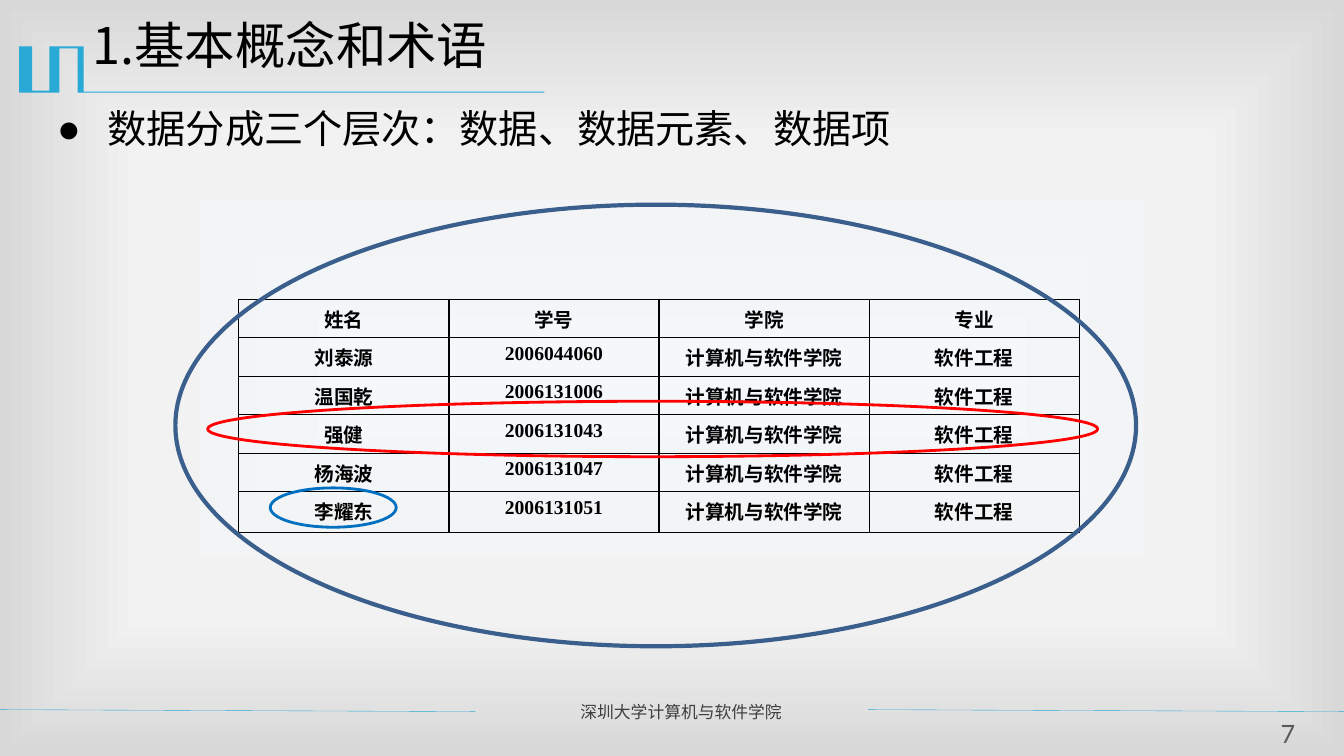
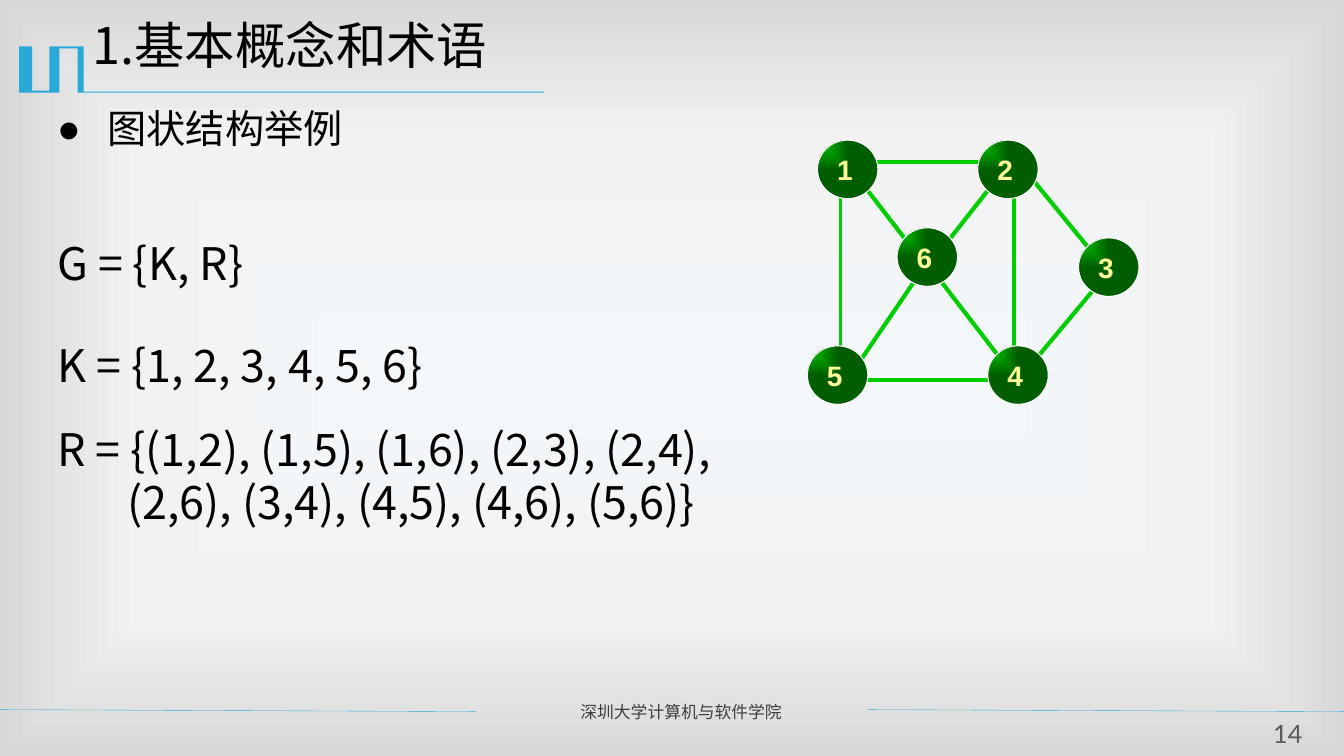
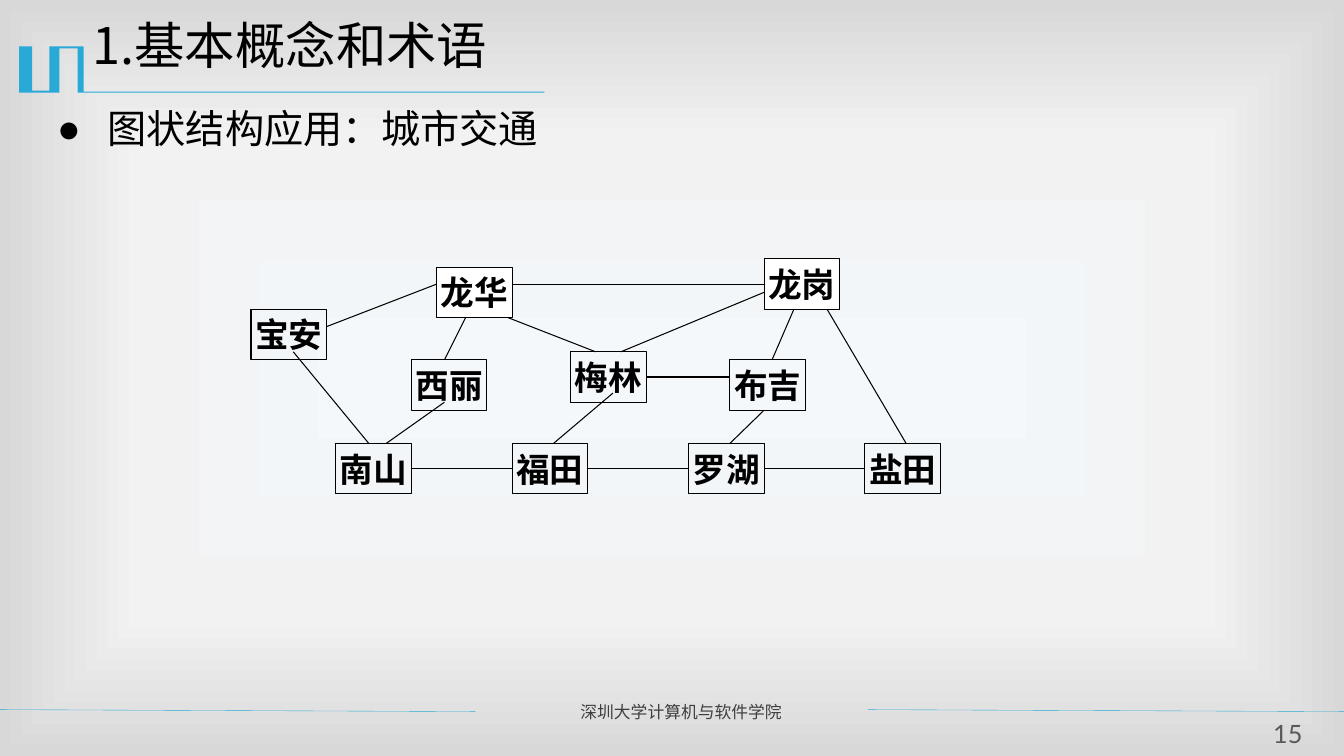
from lxml import etree
from pptx import Presentation
from pptx.dml.color import RGBColor
from pptx.enum import shapes, text
from pptx.oxml import parse_xml
from pptx.oxml.ns import nsdecls, qn
from pptx.util import Pt

# Style
CYAN = RGBColor(0x28, 0xA9, 0xD6)
BLACK = RGBColor(0, 0, 0)
WHITE = RGBColor(0xFF, 0xFF, 0xFF)
FOOTER_GRAY = RGBColor(0x3F, 0x3F, 0x3F)
NUMBER_GRAY = RGBColor(0x59, 0x59, 0x59)
NAVY = RGBColor(0x3A, 0x5F, 0x8C)
RED = RGBColor(0xFF, 0, 0)
BLUE = RGBColor(0, 0x70, 0xC0)
GREEN = RGBColor(0, 0xCC, 0)
DARK_GREEN = RGBColor(0, 0x5E, 0)
PALE_YELLOW = RGBColor(0xFF, 0xFF, 0x99)
BACKGROUND = [(0, RGBColor(0xF4, 0xF8, 0xFB)),
              (63, RGBColor(0xF2, 0xF2, 0xF2)),
              (100, RGBColor(0xD8, 0xD8, 0xD8))]
NODE_FILL = [(0, GREEN), (100, DARK_GREEN)]
CJK = "Noto Sans CJK SC"
CENTER = text.PP_ALIGN.CENTER
TOP, MIDDLE = text.MSO_ANCHOR.TOP, text.MSO_ANCHOR.MIDDLE
OVAL, RECTANGLE = shapes.MSO_SHAPE.OVAL, shapes.MSO_SHAPE.RECTANGLE

TITLE = "1.基本概念和术语"
FOOTER = "深圳大学计算机与软件学院"
ORNAMENT = [(59, 33.1), (59.8, 33.1), (59.8, 65.5), (388.8, 65.5),
            (388.8, 66.2), (55.4, 66.2), (55.4, 34.6), (42.5, 34.6),
            (42.5, 66.2), (13.7, 66.2), (13.7, 33.1), (23, 33.1),
            (23, 64.8), (35.3, 64.8), (35.3, 33.1)]


def set_path_gradient(parent, stops, focus):
    """Replace the solid fill of parent with a rectangular gradient."""
    marks = "".join(f'<a:gs pos="{position * 1000}"><a:srgbClr val="{color}"/></a:gs>'
                    for position, color in stops)
    edges = " ".join(f'{side}="{value * 1000}"' for side, value in zip("ltrb", focus))
    gradient = parse_xml(
        f'<a:gradFill {nsdecls("a")} rotWithShape="1"><a:gsLst>{marks}</a:gsLst>'
        f'<a:path path="rect"><a:fillToRect {edges}/></a:path></a:gradFill>')
    parent.replace(parent.find(qn("a:solidFill")), gradient)


class Deck:
    def __init__(self):
        self.presentation = Presentation()
        self.presentation.slide_width = Pt(960)
        self.presentation.slide_height = Pt(540)
        master = self.presentation.slide_master
        master.background.fill.solid()
        master.background.fill.fore_color.rgb = WHITE
        set_path_gradient(master.element.find(".//" + qn("p:bgPr")), BACKGROUND, (50,) * 4)
        self.slide = None

    def new_slide(self, number):
        """Start a slide with the title, ornament and footer."""
        layout = self.presentation.slide_layouts[6]
        self.slide = self.presentation.slides.add_slide(layout)
        self.ornament()
        for left in (-0.5, 620):
            self.line(left, 506.9, left + 340, 508.3, CYAN, 0.25)
        self.text_box(407.5, 497.5, 205, 22, FOOTER, 12, "Lato", FOOTER_GRAY)
        self.text_box(59, 11.5, 864, 62.6, TITLE, 36).paragraphs[0].line_spacing = 0.9
        frame = self.text_box(898.6, 513.4, 42.5, 22.3, str(number), 18, "Lato",
                              NUMBER_GRAY, align=CENTER)
        self.insets(frame, 0, 0, 0, 0)

    def ornament(self):
        points = [(Pt(x), Pt(y)) for x, y in ORNAMENT]
        builder = self.slide.shapes.build_freeform(*points[0])
        builder.add_line_segments(points[1:], close=True)
        shape = builder.convert_to_shape()
        shape.shadow.inherit = False
        shape.fill.solid()
        shape.fill.fore_color.rgb = CYAN
        shape.line.fill.background()

    def insets(self, frame, left, top, right, bottom):
        frame.margin_left, frame.margin_top = Pt(left), Pt(top)
        frame.margin_right, frame.margin_bottom = Pt(right), Pt(bottom)

    def style(self, paragraph, size, font=CJK, color=BLACK, bold=False, align=None):
        paragraph.alignment = align
        for run in paragraph.runs:
            run.font.size = Pt(size)
            run.font.bold = bold
            run.font.name = font
            run.font.color.rgb = color
            etree.SubElement(run.font._element, qn("a:ea")).set("typeface", CJK)

    def text_box(self, left, top, width, height, content, size, *look, **options):
        box = self.slide.shapes.add_textbox(Pt(left), Pt(top), Pt(width), Pt(height))
        frame = box.text_frame
        frame.word_wrap = True
        frame.vertical_anchor = TOP
        frame.text = content
        self.style(frame.paragraphs[0], size, *look, **options)
        return frame

    def body(self, heading, formulas=()):
        """Bulleted heading, then (text, space before, left margin) lines."""
        frame = self.text_box(33.8, 74.9, 873.4, 405.4, heading, 28)
        first = frame.paragraphs[0]
        first.line_spacing = 0.9
        properties = first._p.get_or_add_pPr()
        properties.set("marL", str(Pt(36)))
        properties.set("indent", str(-Pt(36)))
        etree.SubElement(properties, qn("a:buFont")).set("typeface", "Arial")
        etree.SubElement(properties, qn("a:buChar")).set("char", "●")
        for content, space, margin in formulas:
            paragraph = frame.add_paragraph()
            paragraph.text = content
            paragraph.line_spacing = 0.9
            paragraph.space_before = Pt(space)
            paragraph._p.get_or_add_pPr().set("marL", str(Pt(margin)))
            self.style(paragraph, 32)

    def line(self, x1, y1, x2, y2, color=BLACK, width=0.75):
        connector = self.slide.shapes.add_connector(
            shapes.MSO_CONNECTOR.STRAIGHT, Pt(x1), Pt(y1), Pt(x2), Pt(y2))
        connector.line.color.rgb = color
        connector.line.width = Pt(width)
        etree.SubElement(connector._element.spPr, qn("a:effectLst"))

    def shape(self, kind, left, top, width, height, color, weight, fill=None):
        shape = self.slide.shapes.add_shape(kind, Pt(left), Pt(top), Pt(width), Pt(height))
        shape.shadow.inherit = False
        shape.line.color.rgb = color
        shape.line.width = Pt(weight)
        if fill is None:
            shape.fill.background()
        else:
            shape.fill.solid()
            shape.fill.fore_color.rgb = fill
        return shape

    def label(self, shape, content, size, font, color, right=0):
        frame = shape.text_frame
        frame.word_wrap = False
        frame.vertical_anchor = MIDDLE
        self.insets(frame, 0, 0, right, 0)
        frame.text = content
        self.style(frame.paragraphs[0], size, font, color, True, CENTER)

    def node(self, left, top, name):
        """Green ball of a graph."""
        ball = self.shape(OVAL, left, top, 43.2, 41.8, WHITE, 0.75, DARK_GREEN)
        set_path_gradient(ball._element.spPr, NODE_FILL, (0, 0, 100, 100))
        self.label(ball, name, 20, "Arial", PALE_YELLOW, right=4)

    def district(self, left, top, name, fill=None):
        """Framed place name of the traffic map."""
        box = self.shape(RECTANGLE, left, top, 54, 36, BLACK, 0.75, fill)
        self.label(box, name, 24, "Cabin", BLACK)

    def table(self, left, top, column_width, row_heights, rows):
        frame = self.slide.shapes.add_table(
            len(rows), len(rows[0]), Pt(left), Pt(top),
            Pt(column_width * len(rows[0])), Pt(sum(row_heights)))
        table = frame.table
        table.first_row = table.horz_banding = False
        for column in table.columns:
            column.width = Pt(column_width)
        for row, height, values in zip(table.rows, row_heights, rows):
            row.height = Pt(height)
            for cell, value in zip(row.cells, values):
                cell.text = value
                self.style(cell.text_frame.paragraphs[0], 14, "Times New Roman",
                           BLACK, True, CENTER)
                self.borders(cell)
                cell.fill.background()

    def borders(self, cell):
        properties = cell._tc.get_or_add_tcPr()
        for side in ("lnL", "lnR", "lnT", "lnB"):
            properties.append(parse_xml(
                f'<a:{side} {nsdecls("a")} w="{Pt(1)}"><a:solidFill>'
                f'<a:srgbClr val="{BLACK}"/></a:solidFill></a:{side}>'))


def levels_slide(deck):
    deck.new_slide(7)
    deck.body("数据分成三个层次：数据、数据元素、数据项")
    students = [("刘泰源", "2006044060"), ("温国乾", "2006131006"),
                ("强健", "2006131043"), ("杨海波", "2006131047"),
                ("李耀东", "2006131051")]
    rows = [("姓名", "学号", "学院", "专业")]
    rows += [(*student, "计算机与软件学院", "软件工程") for student in students]
    deck.table(170.6, 213.8, 150.1, [27.5] * 5 + [29], rows)
    # Rings: data, data element, data item
    deck.shape(OVAL, 125.3, 146.2, 686.2, 315.4, NAVY, 3)
    deck.shape(OVAL, 148.3, 286.6, 635.8, 39.6, RED, 2)
    deck.shape(OVAL, 193, 348.5, 90, 28.1, BLUE, 2)


def graph_slide(deck):
    deck.new_slide(14)
    deck.body("图状结构举例", [
        ("G = {K, R}", 64, 0),
        ("K = {1, 2, 3, 4, 5, 6}", 38, 0),
        ("R = {(1,2), (1,5), (1,6), (2,3), (2,4),", 26, 0),
        ("(2,6), (3,4), (4,5), (4,6), (5,6)}", 3, 50)])
    # Edges
    for edge in [(713.5, 126, 673.9, 176.4), (786.2, 200.9, 735.8, 261.4),
                 (656.6, 195.8, 612, 261.4), (668.2, 195.8, 718.6, 261.4),
                 (617, 271.4, 707.8, 271.4), (617, 115.9, 707.8, 115.9),
                 (735.8, 126, 780.5, 180.7), (612, 126, 650.9, 176.4)]:
        deck.line(*edge, GREEN, 3)
    for x in (600.5, 724.3):
        deck.line(x, 131, x, 256.3, GREEN, 2.25)
    # Nodes
    corners = [(583.9, 100.1), (698.4, 100.1), (770.4, 169.9),
               (705.6, 247), (576.7, 247), (640.8, 162.7)]
    for number, corner in enumerate(corners, start=1):
        deck.node(*corner, str(number))


def traffic_slide(deck):
    deck.new_slide(15)
    deck.body("图状结构应用：城市交通")
    # Southern row, joined from left to right
    for index, name in enumerate(["南山", "福田", "罗湖", "盐田"]):
        left = 239.8 + 126 * index
        deck.district(left, 316.8, name)
        if index:
            deck.line(left - 72, 334.8, left, 334.8)
    for left, top, name in [(179.3, 221, "宝安"), (293.8, 257, "西丽"),
                            (407.5, 251.3, "梅林"), (521.3, 257, "布吉")]:
        deck.district(left, top, name)
    # Roads
    for road in [(263.5, 316.8, 209.5, 251.3), (233.3, 233.3, 311.8, 203),
                 (365.8, 203, 545.8, 203), (395.3, 316.8, 437.8, 280.8),
                 (443.5, 251.3, 545.8, 208.8), (569.5, 215.3, 551.5, 257),
                 (545.8, 293, 521.3, 316.8), (587.5, 215.3, 647.3, 316.8),
                 (461.5, 269.3, 521.3, 269.3), (275.8, 316.8, 317.5, 287.3),
                 (317.5, 257, 335.5, 221), (347.8, 221, 425.5, 251.3)]:
        deck.line(*road)
    # Filled boxes cover the road ends
    deck.district(311.8, 190.8, "龙华", WHITE)
    deck.district(545.8, 185, "龙岗", WHITE)


def main():
    deck = Deck()
    levels_slide(deck)
    graph_slide(deck)
    traffic_slide(deck)
    deck.presentation.save("out.pptx")


if __name__ == "__main__":
    main()
